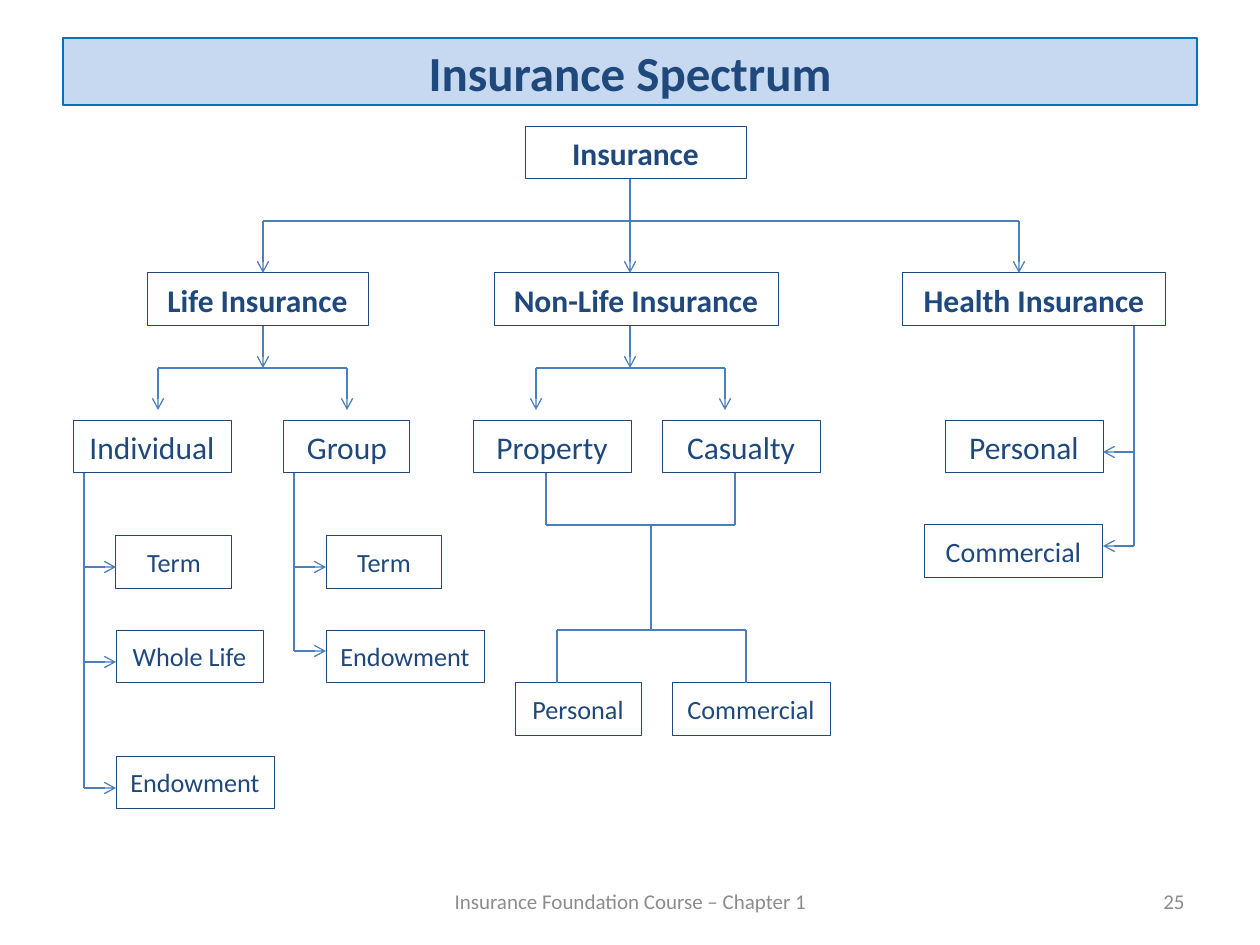
"""Build the Insurance Spectrum tree slide."""
from lxml.etree import SubElement
from pptx import Presentation
from pptx.dml.color import RGBColor
from pptx.enum.shapes import MSO_CONNECTOR, MSO_SHAPE
from pptx.enum.text import MSO_ANCHOR, MSO_AUTO_SIZE, PP_ALIGN
from pptx.oxml.ns import qn
from pptx.util import Pt

PX = 914400 / 126
HIGH = 53
INK = {"navy": "1F497D", "line": "4B7EBC", "pale": "C6D9F1",
       "edge": "0070C0", "gray": "8C8C8C"}

TITLE = ("Insurance Spectrum", (63, 38, 1134, 67))
NOTES = [
    ("25", (903, 876, 294, 50), PP_ALIGN.RIGHT),
    ("Insurance Foundation Course – Chapter 1", (431, 876, 399, 50), PP_ALIGN.CENTER),
]
# size, bold, then (text, left, top, width)
BOXES = [
    (18, True, [("Insurance", 525, 126, 221), ("Life Insurance", 147, 273, 221),
                ("Non-Life Insurance", 494, 273, 284),
                ("Health Insurance", 903, 273, 262)]),
    (18, False, [("Individual", 73, 420, 158), ("Group", 284, 420, 126),
                 ("Property", 473, 420, 158), ("Casualty", 662, 420, 158),
                 ("Personal", 945, 420, 158)]),
    (16, False, [("Commercial", 924, 525, 179)]),
    (15, False, [("Term", 116, 536, 116), ("Whole Life", 116, 630, 147),
                 ("Endowment", 116, 756, 158), ("Term", 326, 536, 116),
                 ("Endowment", 326, 630, 158), ("Personal", 515, 683, 126),
                 ("Commercial", 672, 683, 158)]),
]
# bar left, bar right, bar y, leg end y, arrow
FORKS = [(263, 1019, 221, 273, True), (158, 347, 368, 410, True),
         (536, 725, 368, 410, True), (546, 735, 525, 473, False),
         (557, 746, 630, 683, False)]
# x, top, bottom, arrow
STEMS = [(630, 179, 273, True), (263, 326, 368, True),
         (630, 326, 368, True), (651, 525, 630, False)]
# spine x, top, arm end x, arm rows
COMBS = [(84, 473, 116, (567, 662, 788)), (294, 473, 326, (567, 651)),
         (1134, 326, 1103, (452, 546))]


def rgb(name):
    return RGBColor.from_string(INK[name])


def emu(*vals):
    return [round(val * PX) for val in vals]


def write(shape, text, size, ink, bold=False, align=PP_ALIGN.CENTER):
    frame = shape.text_frame
    frame.text = text
    frame.word_wrap = True
    frame.auto_size = MSO_AUTO_SIZE.NONE
    frame.vertical_anchor = MSO_ANCHOR.MIDDLE
    para = frame.paragraphs[0]
    para.alignment = align
    font = para.runs[0].font
    font.name, font.size, font.bold = "Calibri", Pt(size), bold
    font.color.rgb = rgb(ink)


def box(shapes, text, left, top, width, size, bold):
    shape = shapes.add_shape(MSO_SHAPE.FLOWCHART_PROCESS, *emu(left, top, width, HIGH))
    shape.shadow.inherit = False
    shape.fill.background()
    shape.line.color.rgb = rgb("navy")
    shape.line.width = Pt(0.5)
    frame = shape.text_frame
    frame.margin_left = frame.margin_right = 0
    write(shape, text, size, "navy", bold)


def link(shapes, x1, y1, x2, y2, arrow=False):
    line = shapes.add_connector(MSO_CONNECTOR.STRAIGHT, *emu(x1, y1, x2, y2))
    line.line.color.rgb = rgb("line")
    line.line.width = Pt(0.75)
    if arrow:
        SubElement(line.line._get_or_add_ln(), qn("a:tailEnd"), type="arrow")
    SubElement(line._element.spPr, qn("a:effectLst"))


def main():
    deck = Presentation()
    deck.slide_width, deck.slide_height = emu(1260, 945)
    shapes = deck.slides.add_slide(deck.slide_layouts[5]).shapes

    text, place = TITLE
    head = shapes.title
    head.left, head.top, head.width, head.height = emu(*place)
    head.fill.solid()
    head.fill.fore_color.rgb = rgb("pale")
    head.line.color.rgb = rgb("edge")
    head.line.width = Pt(0.75)
    write(head, text, 28, "navy", True)

    for text, place, align in NOTES:
        write(shapes.add_textbox(*emu(*place)), text, 12, "gray", align=align)
    for size, bold, items in BOXES:
        for item in items:
            box(shapes, *item, size, bold)
    for left, right, bar, end, arrow in FORKS:
        link(shapes, left, bar, right, bar)
        for x in (left, right):
            link(shapes, x, bar, x, end, arrow)
    for x, top, end, arrow in STEMS:
        link(shapes, x, top, x, end, arrow)
    for x, top, tip, rows in COMBS:
        link(shapes, x, top, x, rows[-1])
        for y in rows:
            link(shapes, x, y, tip, y, True)
    deck.save("out.pptx")


if __name__ == "__main__":
    main()
